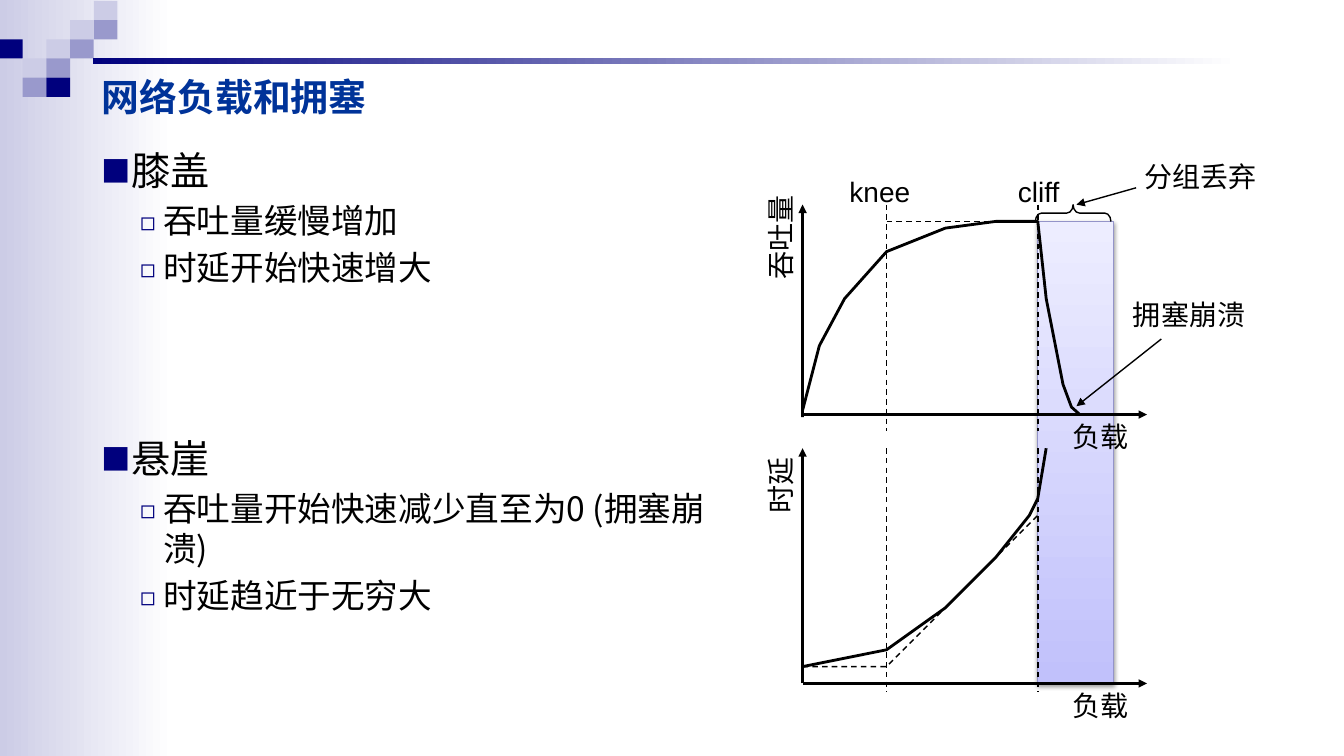
import pptx
import pptx.util
import pptx.dml.color
import pptx.enum.dml
import pptx.enum.shapes
import pptx.enum.text
import pptx.oxml
import pptx.oxml.ns
import lxml.etree

RGB = pptx.dml.color.RGBColor
NAVY = RGB(0x00, 0x00, 0x7D)
LILAC = RGB(0x99, 0x99, 0xCC)
PALE = RGB(0xCC, 0xCC, 0xE6)
WHITE = RGB(0xFF, 0xFF, 0xFF)
BLACK = RGB(0x00, 0x00, 0x00)
TITLE_BLUE = RGB(0x00, 0x33, 0x99)
BAND_LOW = RGB(0xC1, 0xC1, 0xFB)
BAND_HIGH = RGB(0xED, 0xED, 0xFF)
BAND_EDGE = RGB(0x94, 0x94, 0xC9)
CJK = "Noto Sans CJK SC"
Inches = pptx.util.Inches
Pt = pptx.util.Pt
MSO_SHAPE = pptx.enum.shapes.MSO_SHAPE
qn = pptx.oxml.ns.qn


def add_text(p, text, size, font="Arial", color=BLACK, bold=False):
    r = p.add_run()
    r.text = text
    r.font.size = Pt(size)
    r.font.name = font
    r.font.bold = bold
    r.font.color.rgb = color
    ea = lxml.etree.SubElement(r._r.get_or_add_rPr(), qn("a:ea"))
    ea.set("typeface", CJK)


def add_line(points, width, dash=False, arrow=False):
    pts = [(Inches(X0 + x * U), Inches(Y0 + y * U)) for x, y in points]
    if len(pts) == 2:
        sp = s.shapes.add_connector(pptx.enum.shapes.MSO_CONNECTOR.STRAIGHT, *pts[0], *pts[1])
        lxml.etree.SubElement(sp._element.spPr, qn("a:effectLst"))
    else:
        fb = s.shapes.build_freeform(*pts[0])
        fb.add_line_segments(pts[1:], close=False)
        sp = fb.convert_to_shape()
        sp.fill.background()
        sp.shadow.inherit = False
    sp.line.color.rgb = BLACK
    sp.line.width = Pt(width)
    if dash:
        sp.line.dash_style = pptx.enum.dml.MSO_LINE.DASH
    if arrow:
        lxml.etree.SubElement(sp.line._get_or_add_ln(), qn("a:tailEnd")).set("type", "triangle")


prs = pptx.Presentation()
prs.slide_width = Inches(13.33)
prs.slide_height = Inches(7.5)
s = prs.slides.add_slide(prs.slide_layouts[1])

TILE_W, TILE_H = 0.235, 0.19
rects = [(0, 0, 1.73, 7.5, PALE, WHITE, 0)]
tiles = [(4, 0, PALE), (3, 1, PALE), (4, 1, LILAC), (0, 2, NAVY), (2, 2, PALE),
         (3, 2, LILAC), (1, 3, PALE), (2, 3, LILAC), (1, 4, LILAC), (2, 4, NAVY)]
for col, row, color in tiles:
    rects.append((col * TILE_W - 0.01, row * TILE_H + 0.01, TILE_W, TILE_H, color, None, 0))
rects.append((0.92, 0.58, 11.37, 0.06, NAVY, WHITE, 0))

X0, Y0, U = 7.96, 2.03, 1 / 12
KNEE, CLIFF, BAND_W = 10, 28, 9
rects.append((X0 + CLIFF * U, Y0 + 2 * U, BAND_W * U, 55 * U, BAND_LOW, BAND_HIGH, 90))

for x, y, w, h, start, end, angle in rects:
    sp = s.shapes.add_shape(MSO_SHAPE.RECTANGLE, Inches(x), Inches(y), Inches(w), Inches(h))
    sp.shadow.inherit = False
    sp.line.fill.background()
    if end is None:
        sp.fill.solid()
        sp.fill.fore_color.rgb = start
    else:
        sp.fill.gradient()
        sp.fill.gradient_angle = angle
        for stop, color in zip(sp.fill.gradient_stops, (start, end)):
            stop.color.rgb = color
        sp.fill.gradient_stops[0].position = 0
        sp.fill.gradient_stops[1].position = 1

band = sp
band.line.color.rgb = BAND_EDGE
band.line.width = Pt(0.75)
band._element.spPr.find(qn("a:effectLst")).append(pptx.oxml.parse_xml(
    '<a:outerShdw xmlns:a="http://schemas.openxmlformats.org/drawingml/2006/main" '
    'blurRad="39370" dist="20320" dir="5400000" rotWithShape="0">'
    '<a:srgbClr val="000000"><a:alpha val="38000"/></a:srgbClr></a:outerShdw>'))

title, body = s.placeholders
for ph, box in ((title, (0.91, 0.6, 6.85, 0.71)), (body, (0.91, 1.4, 6.6, 5.83))):
    ph.left, ph.top, ph.width, ph.height = [Inches(v) for v in box]
    ph.text_frame.auto_size = pptx.enum.text.MSO_AUTO_SIZE.NONE
    ph._element.getparent().append(ph._element)
title.text_frame.vertical_anchor = pptx.enum.text.MSO_ANCHOR.MIDDLE
p = title.text_frame.paragraphs[0]
p.alignment = pptx.enum.text.PP_ALIGN.LEFT
add_text(p, "网络负载和拥塞", 27, font="Times New Roman", color=TITLE_BLUE, bold=True)

bullets = [(0, "膝盖", 5.6), (1, "吞吐量缓慢增加", 4.8), (1, "时延开始快速增大", 4.8),
           (0, "悬崖", 105), (1, "吞吐量开始快速减少直至为0 (拥塞崩溃)", 4.8),
           (1, "时延趋近于无穷大", 4.8)]
levels = [(28, 0.28, 0.28, "■"), (24, 0.61, 0.23, "◻")]
tf = body.text_frame
for i, (level, text, before) in enumerate(bullets):
    size, margin, hang, mark = levels[level]
    p = tf.add_paragraph() if i else tf.paragraphs[0]
    p.level = level
    pPr = p._p.get_or_add_pPr()
    pPr.set("marL", str(Inches(margin)))
    pPr.set("indent", str(-Inches(hang)))
    buClr = lxml.etree.SubElement(pPr, qn("a:buClr"))
    lxml.etree.SubElement(buClr, qn("a:srgbClr")).set("val", str(NAVY))
    lxml.etree.SubElement(pPr, qn("a:buSzPct")).set("val", "75000")
    lxml.etree.SubElement(pPr, qn("a:buFont")).set("typeface", CJK)
    lxml.etree.SubElement(pPr, qn("a:buChar")).set("char", mark)
    p.space_before = Pt(before)
    p.line_spacing = Pt(size * 1.2)
    add_text(p, text, size, font=CJK)

for top, bottom in ((0, 25), (29, 57)):
    add_line([(0, bottom), (0, top)], 2, arrow=True)
    add_line([(0, bottom), (41, bottom)], 2, arrow=True)
for x in (KNEE, CLIFF):
    for top, bottom in ((0, 27), (29, 58)):
        add_line([(x, top), (x, bottom)], 1, dash=True)
add_line([(KNEE, 2), (CLIFF, 2)], 1, dash=True)
add_line([(0, 55), (KNEE, 55), (CLIFF, 37)], 1, dash=True)
add_line([(0, 25.3), (0, 24.5), (2, 16.8), (5, 11.2), (KNEE, 5.6), (17, 2.8), (23, 2),
          (CLIFF, 2), (29, 11.2), (31, 21.4), (32, 24.1), (33, 25)], 2)
add_line([(0, 55), (KNEE, 53), (17, 48), (23, 42), (27, 37), (CLIFF, 35), (29, 29)], 2)
add_line([(42.7, 16), (32.6, 24)], 1, arrow=True)
add_line([(39.7, -2), (32.6, 0)], 1, arrow=True)

brace = s.shapes.add_shape(MSO_SHAPE.RIGHT_BRACE, Inches(X0 + 31.2 * U),
                           Inches(Y0 - 3.5 * U), Inches(2 * U), Inches(BAND_W * U))
brace.rotation = 270
brace.adjustments[0] = 0.375
brace.fill.background()
brace.line.color.rgb = BLACK
brace.line.width = Pt(1)
brace.shadow.inherit = False

labels = [("负载", 35.5, 59.6, 0.76, 0), ("负载", 35.5, 27.6, 0.76, 0),
          ("吞吐量", -2.6, 3.9, 1.04, 270), ("时延", -2.6, 33.4, 0.76, 270),
          ("knee", 9.2, -1.6, 0.81, 0), ("cliff", 28.1, -1.6, 0.61, 0),
          ("拥塞崩溃", 46, 13.1, 1.32, 0), ("分组丢弃", 47.4, -3.4, 1.32, 0)]
LABEL_H = 0.43
for text, x, y, w, turn in labels:
    tb = s.shapes.add_textbox(Inches(X0 + x * U - w / 2), Inches(Y0 + y * U - LABEL_H / 2),
                              Inches(w), Inches(LABEL_H))
    tb.rotation = turn
    tb.text_frame.word_wrap = False
    p = tb.text_frame.paragraphs[0]
    p.alignment = pptx.enum.text.PP_ALIGN.CENTER
    add_text(p, text, 20)

prs.save("out.pptx")
